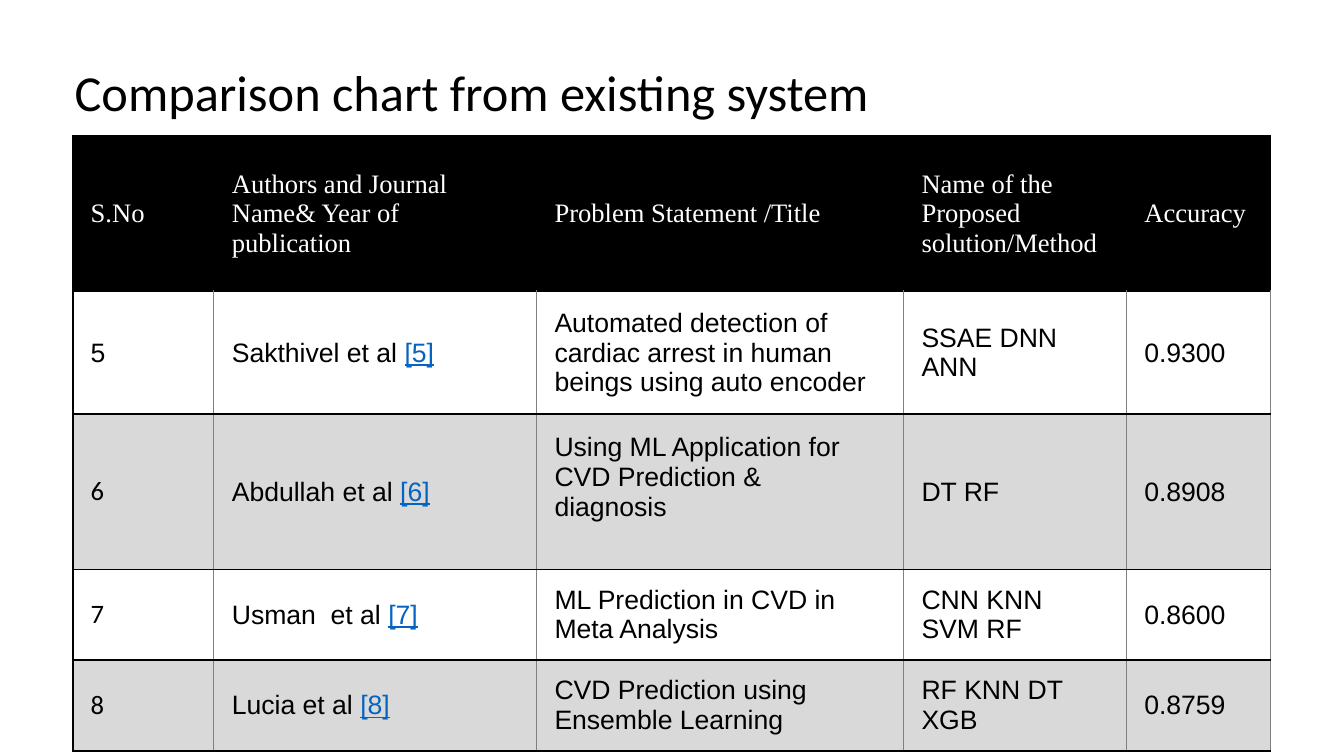
from lxml import etree
from pptx import Presentation
from pptx.dml.color import RGBColor
from pptx.enum.shapes import MSO_SHAPE
from pptx.enum.text import MSO_ANCHOR, PP_ALIGN
from pptx.oxml.ns import qn
from pptx.util import Inches, Pt

RECT = MSO_SHAPE.RECTANGLE
MIDDLE = MSO_ANCHOR.MIDDLE
LEFT = PP_ALIGN.LEFT
BLACK = RGBColor(0x00, 0x00, 0x00)
WHITE = RGBColor(0xFF, 0xFF, 0xFF)
PALE = RGBColor(0xD9, 0xD9, 0xD9)
GREY = RGBColor(0x80, 0x80, 0x80)
BLUE = RGBColor(0x05, 0x63, 0xC1)
SANS, SERIF, HEAD = "Arial", "Times New Roman", "Calibri"
SIZE = 19
THICK, THIN = (BLACK, 1.5), (GREY, 0.5)

COLS = [1.4, 3.2, 3.64, 2.21, 1.43]
ROWS = [1.54, 1.22, 1.54, 0.9, 0.9]
NAMES = ["S.No ", "Authors and Journal Name& Year of publication ",
         "Problem Statement /Title",
         "Name of the Proposed solution/Method ", "Accuracy "]
WORKS = [
    ["5", "Sakthivel et al ",
     "Automated detection of cardiac arrest in human beings using auto encoder",
     "SSAE DNN ANN", "0.9300"],
    ["6", "Abdullah et al ",
     "Using ML Application for CVD Prediction & diagnosis",
     "DT RF", "0.8908"],
    ["7", "Usman  et al ", "ML Prediction in CVD in Meta Analysis",
     "CNN KNN SVM RF", "0.8600"],
    ["8", "Lucia et al ", "CVD Prediction using Ensemble Learning",
     "RF KNN DT XGB", "0.8759"],
]


class Deck:
    """Holds the style and the current slide."""

    def __init__(self):
        self.prs = Presentation()
        self.prs.slide_width = Inches(13.33)
        self.prs.slide_height = Inches(7.5)
        self.slide = self.prs.slides.add_slide(self.prs.slide_layouts[5])

    def style(self, run, face, size, color):
        run.font.name = face
        run.font.size = Pt(size)
        run.font.color.rgb = color

    def place(self, shape, left, top, width, height):
        shape.left, shape.top = Inches(left), Inches(top)
        shape.width, shape.height = Inches(width), Inches(height)

    def title(self, text, *box):
        shape = self.slide.shapes.title
        self.place(shape, *box)
        frame = shape.text_frame
        frame.text = text
        frame.word_wrap = True
        frame.vertical_anchor = MIDDLE
        para = frame.paragraphs[0]
        para.alignment = LEFT
        para.line_spacing = 0.9
        self.style(para.runs[0], HEAD, 36, BLACK)

    def band(self, *box):
        shape = self.slide.shapes.add_shape(RECT, *map(Inches, box))
        shape.shadow.inherit = False
        shape.fill.solid()
        shape.fill.fore_color.rgb = WHITE
        shape.line.fill.background()
        self.slide.shapes.title.element.addprevious(shape.element)

    def table(self, left, top, cols, rows):
        box = map(Inches, (left, top, sum(cols), sum(rows)))
        grid = self.slide.shapes.add_table(len(rows), len(cols), *box).table
        grid.first_row = grid.horz_banding = False
        for col, width in zip(grid.columns, cols):
            col.width = Inches(width)
        for row, height in zip(grid.rows, rows):
            row.height = Inches(height)
        return grid

    def cell(self, cell, text, face, color, fill, edges):
        cell.vertical_anchor = MIDDLE
        cell.margin_left, cell.margin_right = Inches(0.18), Inches(0.24)
        cell.margin_top = cell.margin_bottom = Inches(0.14)
        para = cell.text_frame.paragraphs[0]
        para.text = text
        self.style(para.runs[0], face, SIZE, color)
        if fill is None:
            cell.fill.background()
        else:
            cell.fill.solid()
            cell.fill.fore_color.rgb = fill
        self.border(cell, edges)

    def border(self, cell, edges):
        props = cell._tc.get_or_add_tcPr()
        for spot, (side, (color, width)) in enumerate(zip("LRTB", edges)):
            line = etree.Element(qn(f"a:ln{side}"), w=str(Pt(width)))
            paint = etree.SubElement(line, qn("a:solidFill"))
            etree.SubElement(paint, qn("a:srgbClr"), val=str(color))
            props.insert(spot, line)

    def cite(self, cell, number):
        run = cell.text_frame.paragraphs[0].add_run()
        run.text = f"[{number}]"
        self.style(run, SANS, SIZE, BLUE)
        run.font.underline = True


def main():
    deck = Deck()
    deck.band(0, 0, 13.33, 1.86)
    deck.title("Comparison chart from existing system", 0.64, 0.27, 9.56, 1.35)
    grid = deck.table(0.72, 1.35, COLS, ROWS)
    for c, name in enumerate(NAMES):
        deck.cell(grid.cell(0, c), name, SERIF, WHITE, BLACK, [THICK] * 4)
    for r, work in enumerate(WORKS, 1):
        fill = None if r % 2 else PALE
        for c, text in enumerate(work):
            face = HEAD if c == 0 and r > 1 else SANS
            edges = [THIN if c else THICK, THIN, THICK, THICK]
            deck.cell(grid.cell(r, c), text, face, BLACK, fill, edges)
        deck.cite(grid.cell(r, 1), work[0])
    grid.cell(2, 2).margin_bottom = Inches(0.43)
    deck.prs.save("out.pptx")


if __name__ == "__main__":
    main()
